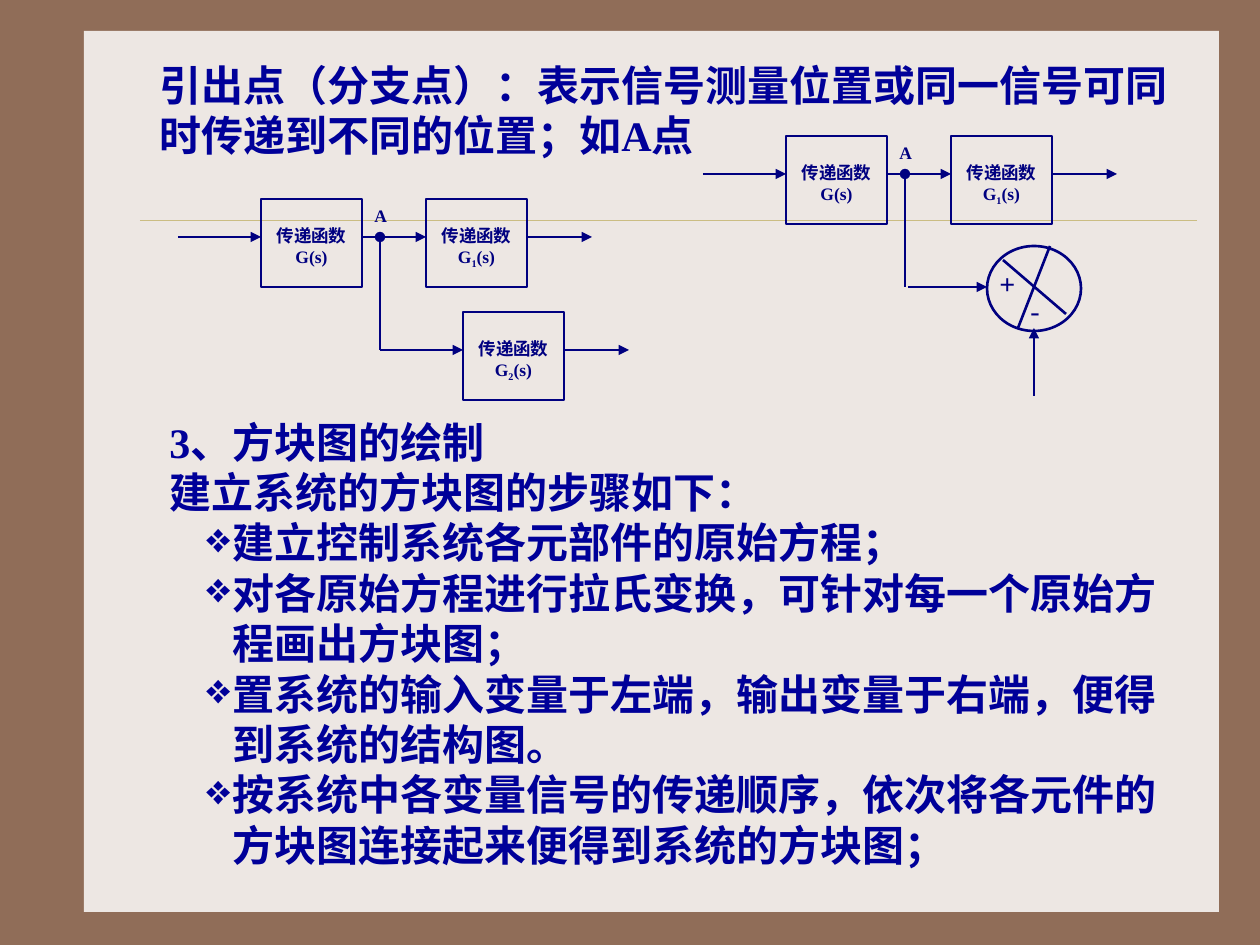
from lxml.etree import SubElement
from pptx import Presentation
from pptx.dml.color import RGBColor
from pptx.enum.shapes import MSO_CONNECTOR, MSO_SHAPE
from pptx.enum.text import MSO_ANCHOR, PP_ALIGN
from pptx.oxml.ns import qn
from pptx.util import Pt

EMU_PER_PX = 914400 / 126
BROWN = RGBColor(0x90, 0x6D, 0x58)
PAPER = RGBColor(0xED, 0xE7, 0xE3)
GOLD = RGBColor(0xCB, 0xBD, 0x83)
NAVY = RGBColor(0x00, 0x00, 0x80)
BLUE = RGBColor(0x00, 0x00, 0x99)
FONT = "Times New Roman"
BLOCK_W, BLOCK_H = 101, 88
SIGNAL_Y = 38  # signal line below the top of a block
BRANCH_X, BRANCH_Y = 119, 151


def emu(*lengths):
    return [round(length * EMU_PER_PX) for length in lengths]


def connect(x1, y1, x2, y2, head=None, tail=None, color=NAVY, width=1.5):
    """Draw a line; head and tail name the arrowheads at its start and end."""
    line = slide.shapes.add_connector(MSO_CONNECTOR.STRAIGHT, *emu(x1, y1, x2, y2))
    line.line.color.rgb = color
    line.line.width = Pt(width)
    outline = line.line._get_or_add_ln()
    for tag, end in (("a:headEnd", head), ("a:tailEnd", tail)):
        if end:
            SubElement(outline, qn(tag), type=end)
    SubElement(line._element.spPr, qn("a:effectLst"))


prs = Presentation()
prs.slide_width, prs.slide_height = emu(1260, 945)
slide = prs.slides.add_slide(prs.slide_layouts[6])
slide.background.fill.solid()
slide.background.fill.fore_color.rgb = BROWN

paper = slide.shapes.add_shape(MSO_SHAPE.RECTANGLE, *emu(84, 31, 1135, 881))
paper.shadow.inherit = False
paper.fill.solid()
paper.fill.fore_color.rgb = PAPER
paper.line.fill.background()
connect(140, 220, 1197, 220, color=GOLD, width=0.25)

# Both diagrams share the main path and the branch that leaves it at A
LEFT_X, LEFT_Y = 261, 199
RIGHT_X, RIGHT_Y = 786, 136
blocks = [(LEFT_X + 202, LEFT_Y + 113, "2")]
labels = []
for x, y in ((LEFT_X, LEFT_Y), (RIGHT_X, RIGHT_Y)):
    blocks += [(x, y, ""), (x + 165, y, "1")]
    labels.append(("A", x + BLOCK_W, y, 37, 38, 10, True))
    for start, end in ((-83, 0), (BLOCK_W, 165), (165 + BLOCK_W, 331)):
        connect(x + start, y + SIGNAL_Y, x + end, y + SIGNAL_Y, tail="triangle")
    connect(x + BRANCH_X, y + SIGNAL_Y, x + BRANCH_X, y + BRANCH_Y, head="oval")

for x1, y1, x2, y2 in (
    (LEFT_X + BRANCH_X, LEFT_Y + BRANCH_Y, LEFT_X + 202, LEFT_Y + BRANCH_Y),
    (LEFT_X + 202 + BLOCK_W, LEFT_Y + BRANCH_Y, 629, LEFT_Y + BRANCH_Y),
    (908, RIGHT_Y + BRANCH_Y, 987, RIGHT_Y + BRANCH_Y),
    (1034, 396, 1034, 328),
):
    connect(x1, y1, x2, y2, tail="triangle")

for x, y, index in blocks:
    block = slide.shapes.add_shape(MSO_SHAPE.RECTANGLE, *emu(x, y, BLOCK_W, BLOCK_H))
    block.shadow.inherit = False
    block.fill.background()
    block.line.color.rgb = NAVY
    block.line.width = Pt(1.5)
    frame = block.text_frame
    frame.vertical_anchor = MSO_ANCHOR.TOP
    frame.margin_top = emu(26)[0]
    frame.text = "传递函数"
    function = frame.add_paragraph()
    for part in ("G", index, "(s)"):
        if part:
            run = function.add_run()
            run.text = part
            if part == index:
                run._r.get_or_add_rPr().set("baseline", "-25000")
    for paragraph in frame.paragraphs:
        paragraph.alignment = PP_ALIGN.CENTER
        for run in paragraph.runs:
            run.font.name = FONT
            run.font.size = Pt(10)
            run.font.bold = True
            run.font.color.rgb = NAVY

# Summing point
summing = slide.shapes.add_shape(MSO_SHAPE.OVAL, *emu(987, 246, 94, 85))
summing.shadow.inherit = False
summing.fill.background()
summing.line.color.rgb = NAVY
summing.line.width = Pt(1.5)
connect(1018, 328, 1050, 246)
connect(1003, 260, 1066, 314)
labels += [("+", 987, 260, 47, 54, 16, True), ("-", 1018, 287, 47, 54, 16, False)]

for text, x, y, width, height, size, bold in labels:
    label = slide.shapes.add_textbox(*emu(x, y, width, height)).text_frame
    label.word_wrap = True
    label.text = text
    font = label.paragraphs[0].runs[0].font
    font.name = FONT
    font.size = Pt(size)
    font.bold = bold
    font.color.rgb = NAVY

branch_point = ["引出点（分支点）：表示信号测量位置或同一信号可同时传递到不同的位置；如A点"]
drawing_intro = ["3、方块图的绘制", "建立系统的方块图的步骤如下："]
drawing_steps = [
    "建立控制系统各元部件的原始方程；",
    "对各原始方程进行拉氏变换，可针对每一个原始方程画出方块图；",
    "置系统的输入变量于左端，输出变量于右端，便得到系统的结构图。",
    "按系统中各变量信号的传递顺序，依次将各元件的方块图连接起来便得到系统的方块图；",
]
STEP_MARGIN, STEP_INDENT = emu(63, -26)

for bounds, lines in (
    ((147, 53, 1050, 113), branch_point),
    ((157, 410, 1040, 466), drawing_intro + drawing_steps),
):
    body = slide.shapes.add_textbox(*emu(*bounds)).text_frame
    body.word_wrap = True
    body.text = "\n".join(lines)
    for paragraph in body.paragraphs:
        if paragraph.text in drawing_steps:
            properties = paragraph._p.get_or_add_pPr()
            properties.set("marL", str(STEP_MARGIN))
            properties.set("indent", str(STEP_INDENT))
            bullet_color = SubElement(properties, qn("a:buClr"))
            SubElement(bullet_color, qn("a:srgbClr"), val=str(BLUE))
            SubElement(properties, qn("a:buChar"), char="❖")
        font = paragraph.runs[0].font
        font.name = FONT
        font.size = Pt(24)
        font.bold = True
        font.color.rgb = BLUE

prs.save("out.pptx")
